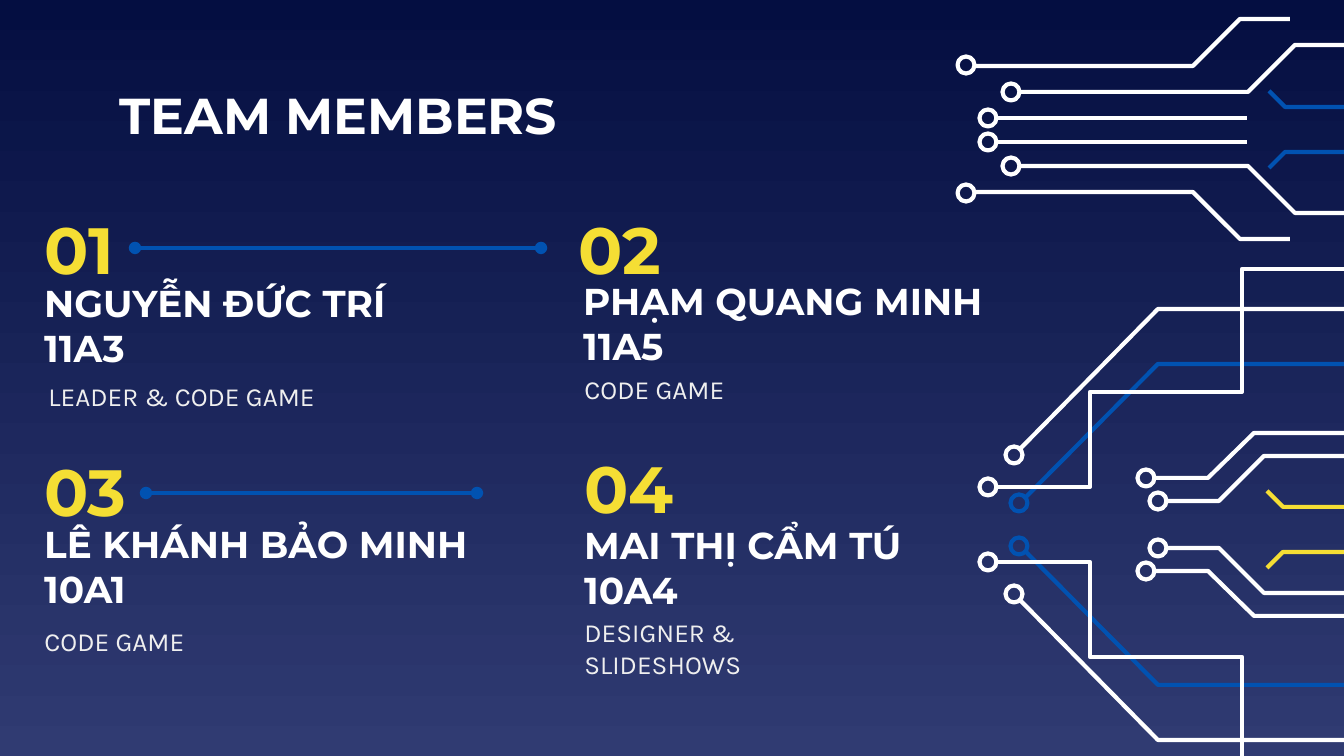
from dataclasses import dataclass
from pptx import Presentation
from pptx.dml.color import RGBColor
from pptx.enum.shapes import MSO_CONNECTOR, MSO_SHAPE
from pptx.enum.text import MSO_ANCHOR, MSO_AUTO_SIZE, PP_ALIGN
from pptx.oxml.ns import qn
from pptx.util import Inches, Pt
from lxml.etree import SubElement

PX = Inches(1) / 134.4
WIDTH, HEIGHT = 1344, 756


@dataclass(frozen=True)
class Theme:
    night: str = "040E41"
    dusk: str = "303B72"
    white: str = "FFFFFF"
    soft: str = "EFEFEF"
    yellow: str = "F5DE34"
    blue: str = "0152B1"
    heading: str = "Montserrat"
    body: str = "Karla"
    title_size: int = 27
    number_size: int = 35
    name_size: int = 20
    role_size: int = 14
    stroke: float = 2.25


theme = Theme()


def emu(*pixels):
    return [round(value * PX) for value in pixels]


def write(holder, box, text, font, size, color, bold=True):
    holder.left, holder.top, holder.width, holder.height = emu(*box)
    frame = holder.text_frame
    frame.text = text
    frame.word_wrap = True
    frame.auto_size = MSO_AUTO_SIZE.NONE
    frame.vertical_anchor = MSO_ANCHOR.MIDDLE
    frame.margin_left = frame.margin_right = Inches(0.1)
    frame.margin_top = frame.margin_bottom = Inches(0.1)
    paragraph = frame.paragraphs[0]
    paragraph.alignment = PP_ALIGN.LEFT
    paragraph.line_spacing = 1.0
    paragraph.space_before = paragraph.space_after = Pt(0)
    properties = paragraph._p.get_or_add_pPr()
    properties.set("marL", "0")
    properties.set("indent", "0")
    SubElement(properties, qn("a:buNone"))
    style = paragraph.runs[0].font
    style.name, style.size, style.bold = font, Pt(size), bold
    style.color.rgb = RGBColor.from_string(color)


prs = Presentation()
prs.slide_width, prs.slide_height = emu(WIDTH, HEIGHT)
slide = prs.slides.add_slide(prs.slide_layouts.get_by_name("Comparison"))
shapes = slide.shapes

# Background gradient, dark at the top
backdrop = slide.background.fill
backdrop.gradient()
backdrop.gradient_angle = 270
for stop, color in zip(backdrop.gradient_stops, (theme.night, theme.dusk)):
    stop.color.rgb = RGBColor.from_string(color)

# Circuit traces: sum of mirrored y values, colour, node centre, points
circuits = [
    (1049, theme.white, (1158, 501), [(1166, 501), (1219, 501), (1264, 456), (WIDTH, 456)]),
    (1049, theme.white, (1146, 478), [(1154, 478), (1208, 478), (1254, 433), (WIDTH, 433)]),
    (1059, theme.yellow, None, [(1267, 491), (1283, 507), (WIDTH, 507)]),
    (259, theme.blue, None, [(1269, 91), (1285, 107), (WIDTH, 107)]),
    (1049, theme.blue, (1019, 503), [(1025, 498), (1158, 364), (WIDTH, 364)]),
    (1049, theme.white, (988, 487), [(996, 487), (1090, 487), (1090, 392), (1242, 392),
                                     (1242, 269), (WIDTH, 269)]),
    (1049, theme.white, (1014, 455), [(1019, 450), (1158, 309), (WIDTH, 309)]),
    (258, theme.white, (966, 65), [(974, 66), (1193, 66), (1240, 19), (1290, 19)]),
    (258, theme.white, (1011, 92), [(1019, 92), (1248, 92), (1295, 45), (WIDTH, 45)]),
    (260, theme.white, (988, 118), [(996, 118), (1247, 118)]),
]
NODE = 17
for mirror_sum, color, node, points in circuits:
    for mirrored in (False, True):
        trace = []
        for x, y in points:
            y = mirror_sum - y if mirrored else y
            trace.append(emu(x, min(y, HEIGHT)))
            if y > HEIGHT:
                break
        outline = shapes.build_freeform(*trace[0], scale=1.0)
        outline.add_line_segments(trace[1:], close=False)
        parts = [outline.convert_to_shape()]
        if node:
            x, y = node
            y = mirror_sum - y if mirrored else y
            corner = emu(x - NODE / 2, y - NODE / 2, NODE, NODE)
            parts.append(shapes.add_shape(MSO_SHAPE.OVAL, *corner))
        for part in parts:
            part.shadow.inherit = False
            part.fill.background()
            part.line.color.rgb = RGBColor.from_string(color)
            part.line.width = Pt(theme.stroke)

# Title
write(shapes.title, (106, 79, 789, 70), "TEAM MEMBERS",
      theme.heading, theme.title_size, theme.white)

# Members: number and corner, name and box, role and corner
members = [
    ("01", (31, 209), "NGUYỄN ĐỨC TRÍ 11A3", (31, 290, 446), "LEADER & CODE GAME", (35, 357)),
    ("02", (565, 209), "PHẠM QUANG MINH 11A5", (570, 288, 499), "CODE GAME", (571, 350)),
    ("03", (31, 451), "LÊ KHÁNH BẢO MINH 10A1", (31, 531, 535), "CODE GAME", (31, 602)),
    ("04", (571, 448), "MAI THỊ CẨM TÚ 10A4", (571, 532, 383), "DESIGNER & SLIDESHOWS", (571, 609)),
]
roles = [holder for holder in slide.placeholders if 1 <= holder.placeholder_format.idx <= 4]
for role_holder, (number, number_at, name, name_at, role, role_at) in zip(roles, members):
    write(shapes.add_textbox(0, 0, 0, 0), (*number_at, 133, 78), number,
          theme.heading, theme.number_size, theme.yellow)
    write(shapes.add_textbox(0, 0, 0, 0), (*name_at, 70), name,
          theme.heading, theme.name_size, theme.white)
    write(role_holder, (*role_at, 324, 78), role,
          theme.body, theme.role_size, theme.soft, bold=False)

# Rules with round ends beside the left-hand numbers
for start, end, y in [(135, 541, 248), (146, 477, 493)]:
    rule = shapes.add_connector(MSO_CONNECTOR.STRAIGHT, *emu(start, y, end, y))
    rule.line.color.rgb = RGBColor.from_string(theme.blue)
    rule.line.width = Pt(theme.stroke)
    stroke = rule.line._get_or_add_ln()
    for tip in ("a:headEnd", "a:tailEnd"):
        SubElement(stroke, qn(tip), type="oval")
    SubElement(rule._element.spPr, qn("a:effectLst"))

prs.save("out.pptx")
